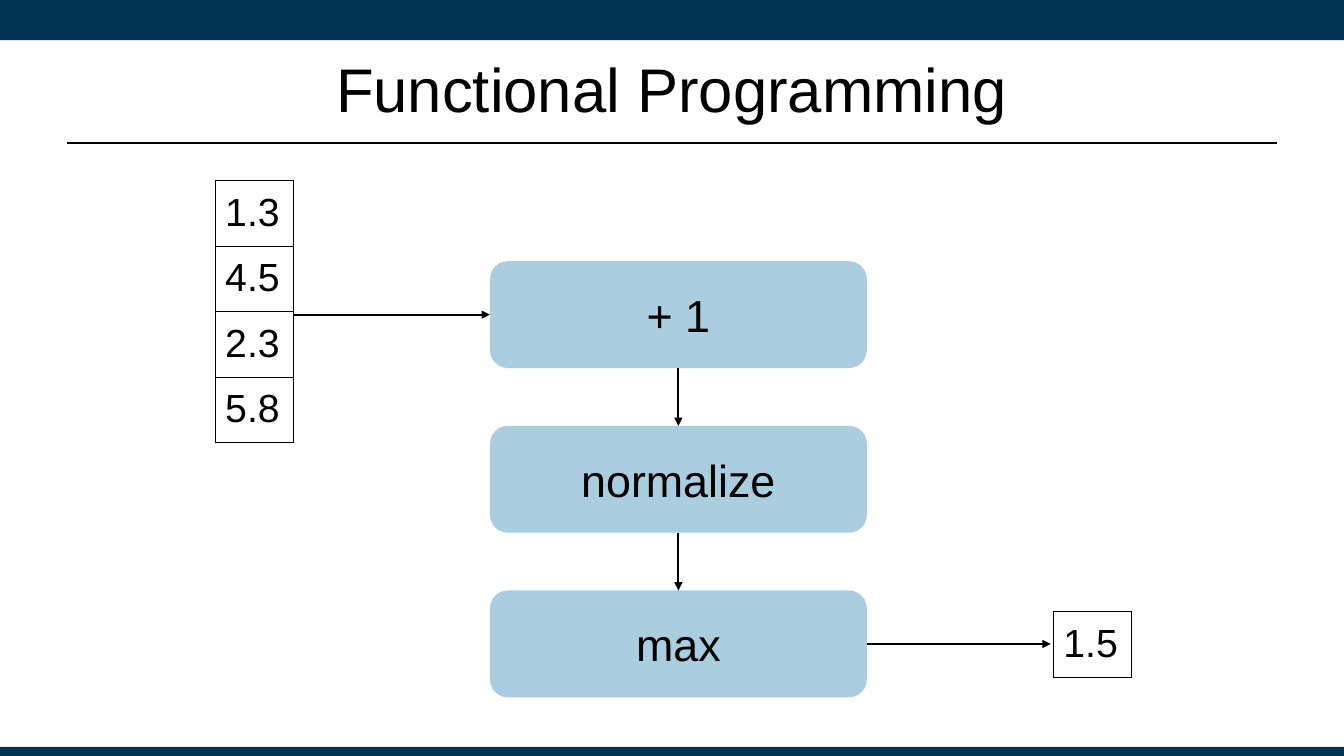
from dataclasses import dataclass

from lxml import etree
from pptx import Presentation
from pptx.dml.color import RGBColor
from pptx.enum.shapes import MSO_CONNECTOR, MSO_SHAPE
from pptx.enum.text import MSO_ANCHOR, PP_ALIGN
from pptx.oxml.ns import qn
from pptx.util import Pt

BLACK, WHITE, NAVY, SKY = "000000", "FFFFFF", "003252", "AACDE0"
W, H = 960, 540
STEP_X, STEP_Y, STEP_W, STEP_H, PITCH = 350, 186.6, 269.2, 76.3, 117.6
CELL_W, CELL_H = 55.7, 45.5


@dataclass
class Box:
    x: float
    y: float
    w: float
    h: float
    fill: str
    label: str = ""
    kind: MSO_SHAPE = MSO_SHAPE.RECTANGLE


@dataclass
class Line:
    x1: float
    y1: float
    x2: float
    y2: float
    width: float = 1.5
    arrow: bool = True


@dataclass
class Vector:
    x: float
    y: float
    values: list[str]


def color(value: str) -> RGBColor:
    """Turn a hex string into a colour."""
    return RGBColor.from_string(value)


def add_text(tf, text: str, size: float, align: PP_ALIGN) -> None:
    """Write one run in the first paragraph of a text frame."""
    p = tf.paragraphs[0]
    p.alignment = align
    r = p.add_run()
    r.text = text
    r.font.name = "Arial"
    r.font.size = Pt(size)
    r.font.color.rgb = color(BLACK)


def add_box(s, box: Box) -> None:
    """Draw a filled shape with an optional centred label."""
    sp = s.shapes.add_shape(box.kind, Pt(box.x), Pt(box.y), Pt(box.w), Pt(box.h))
    sp.shadow.inherit = False
    sp.fill.solid()
    sp.fill.fore_color.rgb = color(box.fill)
    sp.line.fill.background()
    if box.label:
        tf = sp.text_frame
        tf.word_wrap = True
        tf.vertical_anchor = MSO_ANCHOR.MIDDLE
        tf.margin_left = tf.margin_right = tf.margin_top = tf.margin_bottom = Pt(7.2)
        add_text(tf, box.label, 32, PP_ALIGN.CENTER)


def add_line(s, line: Line) -> None:
    """Draw a straight line, with an arrowhead if asked for."""
    c = s.shapes.add_connector(MSO_CONNECTOR.STRAIGHT, Pt(line.x1), Pt(line.y1),
                               Pt(line.x2), Pt(line.y2))
    c.line.width = Pt(line.width)
    c.line.color.rgb = color(BLACK)
    if line.arrow:
        etree.SubElement(c.line._get_or_add_ln(), qn("a:tailEnd"), type="triangle")
    etree.SubElement(c._element.spPr, qn("a:effectLst"))


def add_borders(cell) -> None:
    """Put a thin black border on every side of a cell."""
    tc_pr = cell._tc.get_or_add_tcPr()
    for i, side in enumerate(("lnL", "lnR", "lnT", "lnB")):
        ln = etree.Element(qn(f"a:{side}"), w=str(Pt(1)))
        fill = etree.SubElement(ln, qn("a:solidFill"))
        etree.SubElement(fill, qn("a:srgbClr"), val=BLACK)
        tc_pr.insert(i, ln)


def add_vector(s, vector: Vector) -> None:
    """Draw numbers as a one-column table."""
    n = len(vector.values)
    table = s.shapes.add_table(n, 1, Pt(vector.x), Pt(vector.y),
                               Pt(CELL_W), Pt(CELL_H * n)).table
    table.first_row = table.horz_banding = False
    table.columns[0].width = Pt(CELL_W)
    for row, value in zip(table.rows, vector.values):
        row.height = Pt(CELL_H)
        cell = row.cells[0]
        cell.fill.solid()
        cell.fill.fore_color.rgb = color(WHITE)
        cell.margin_left = cell.margin_right = cell.margin_top = Pt(7.2)
        cell.margin_bottom = Pt(6)
        add_text(cell.text_frame, value, 28, PP_ALIGN.LEFT)
        add_borders(cell)


def add_title(s, text: str) -> None:
    """Write the slide title."""
    tf = s.shapes.add_textbox(Pt(48), Pt(18), Pt(864), Pt(90)).text_frame
    tf.word_wrap = True
    tf.vertical_anchor = MSO_ANCHOR.MIDDLE
    add_text(tf, text, 44, PP_ALIGN.CENTER)


def main() -> None:
    """Build the slide and save it."""
    prs = Presentation()
    prs.slide_width, prs.slide_height = Pt(W), Pt(H)
    s = prs.slides.add_slide(prs.slide_layouts[6])

    add_box(s, Box(0, 0, W, 28.6, NAVY))
    add_box(s, Box(0, 533.6, W, H - 533.6, NAVY))
    add_line(s, Line(48, 102, 912, 102, 1.25, False))
    add_title(s, "Functional Programming")

    steps = [Box(STEP_X, STEP_Y + i * PITCH, STEP_W, STEP_H, SKY, label,
                 MSO_SHAPE.ROUNDED_RECTANGLE)
             for i, label in enumerate(("+ 1", "normalize", "max"))]
    for step in steps:
        add_box(s, step)
    add_vector(s, Vector(153.7, 129, ["1.3", "4.5", "2.3", "5.8"]))
    add_vector(s, Vector(752.4, 437, ["1.5"]))

    mid_x = STEP_X + STEP_W / 2
    first, last = steps[0], steps[-1]
    in_y, out_y = first.y + STEP_H / 2, last.y + STEP_H / 2
    add_line(s, Line(209.4, in_y, STEP_X, in_y))
    for above, below in zip(steps, steps[1:]):
        add_line(s, Line(mid_x, above.y + STEP_H, mid_x, below.y))
    add_line(s, Line(STEP_X + STEP_W, out_y, 750.6, out_y))

    prs.save("out.pptx")


main()
